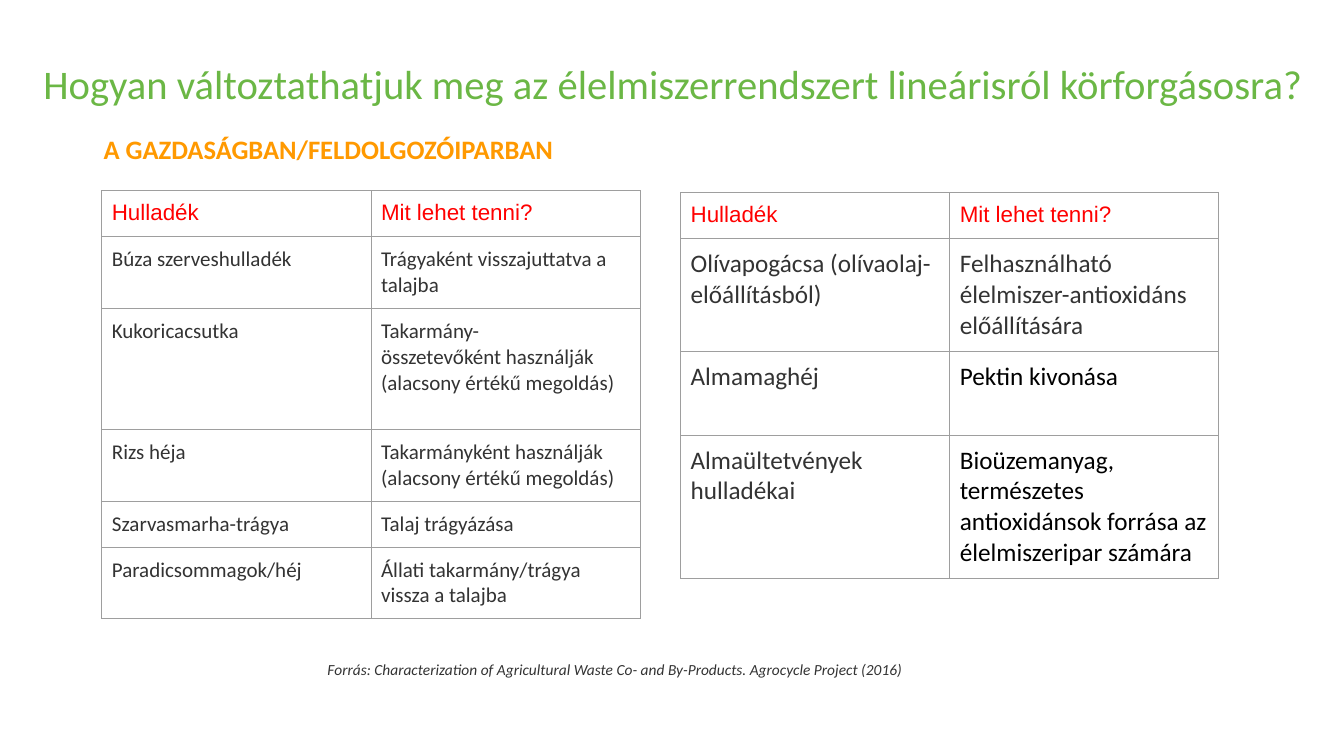
"""Build the slide on turning farm and food waste to circular use."""
from dataclasses import dataclass

from lxml.etree import SubElement
from pptx import Presentation
from pptx.dml.color import RGBColor
from pptx.enum.text import MSO_ANCHOR, MSO_AUTO_SIZE, PP_ALIGN
from pptx.oxml.ns import qn
from pptx.util import Inches, Pt

GREEN = RGBColor(0x6B, 0xB7, 0x45)
ORANGE = RGBColor(0xFF, 0x99, 0x00)
RED = RGBColor(0xFF, 0x00, 0x00)
DARK = RGBColor(0x33, 0x33, 0x33)
BLACK = RGBColor(0x00, 0x00, 0x00)
GREY = RGBColor(0x9E, 0x9E, 0x9E)

HEAD = ("Hulladék", "Mit lehet tenni?")
COL = 2.67
PAD = 0.1


@dataclass
class Style:
    size: float
    color: RGBColor
    name: str = "Calibri"
    bold: bool = False
    italic: bool = False


@dataclass
class Label:
    text: str
    left: float
    top: float
    width: float
    height: float
    style: Style


@dataclass
class Row:
    waste: str
    use: str
    height: float
    color: RGBColor = DARK


@dataclass
class Grid:
    left: float
    top: float
    size: float
    rows: list[Row]


TITLE = Label(
    "Hogyan változtathatjuk meg az élelmiszerrendszert lineárisról körforgásosra?",
    0.22, 0.59, 12.92, 0.47, Style(29, GREEN))

LABELS = [
    Label("A GAZDASÁGBAN/FELDOLGOZÓIPARBAN", 0.93, 1.27, 6.43, 0.42,
          Style(19, ORANGE, bold=True)),
    Label("Forrás: Characterization of Agricultural Waste Co- and By-Products. "
          "Agrocycle Project (2016)", 3.15, 6.5, 6.43, 0.29,
          Style(11, DARK, italic=True)),
]

GRIDS = [
    Grid(1.01, 1.89, 15, [
        Row("Búza szerveshulladék", "Trágyaként visszajuttatva a talajba", 0.7),
        Row("Kukoricacsutka",
            "Takarmány-\nösszetevőként használják (alacsony értékű megoldás)", 1.2),
        Row("Rizs héja", "Takarmányként használják (alacsony értékű megoldás)", 0.7),
        Row("Szarvasmarha-trágya", "Talaj trágyázása", 0.45),
        Row("Paradicsommagok/héj", "Állati takarmány/trágya vissza a talajba", 0.7),
    ]),
    Grid(6.75, 1.91, 18, [
        Row("Olívapogácsa (olívaolaj-előállításból)",
            "Felhasználható élelmiszer-antioxidáns előállítására", 1.1),
        Row("Almamaghéj", "Pektin kivonása", 0.83, BLACK),
        Row("Almaültetvények hulladékai",
            "Bioüzemanyag, természetes antioxidánsok forrása az "
            "élelmiszeripar számára", 1.4, BLACK),
    ]),
]


def write(frame, text: str, style: Style) -> None:
    """Put styled text in a frame."""
    para = frame.paragraphs[0]
    para.text = text
    form = {"name": style.name, "size": Pt(style.size),
            "bold": style.bold, "italic": style.italic}
    for run in para.runs:
        for key, value in form.items():
            setattr(run.font, key, value)
        run.font.color.rgb = style.color


def fill_label(shape, label: Label) -> None:
    """Place a text shape and write its label."""
    for key in ("left", "top", "width", "height"):
        setattr(shape, key, Inches(getattr(label, key)))
    frame = shape.text_frame
    form = {"word_wrap": True, "auto_size": MSO_AUTO_SIZE.NONE,
            "vertical_anchor": MSO_ANCHOR.TOP}
    for key, value in form.items():
        setattr(frame, key, value)
    write(frame, label.text, label.style)


def edge(cell) -> None:
    """Draw thin grey lines round a cell."""
    props = cell._tc.get_or_add_tcPr()
    for side in ("L", "R", "T", "B"):
        line = SubElement(props, qn(f"a:ln{side}"), w=str(Pt(0.75)))
        fill = SubElement(line, qn("a:solidFill"))
        SubElement(fill, qn("a:srgbClr"), val=str(GREY))


def fill_cell(cell, text: str, style: Style) -> None:
    """Format a cell and write its text."""
    for side in ("left", "right", "top", "bottom"):
        setattr(cell, f"margin_{side}", Inches(PAD))
    edge(cell)
    cell.fill.background()
    write(cell.text_frame, text, style)


def draw_grid(slide, grid: Grid) -> None:
    """Draw one table of waste and its use."""
    rows = [Row(*HEAD, 0.46), *grid.rows]
    tall = sum(row.height for row in rows)
    table = slide.shapes.add_table(
        len(rows), 2, Inches(grid.left), Inches(grid.top),
        Inches(2 * COL), Inches(tall)).table
    table.first_row = table.horz_banding = False
    for col in table.columns:
        col.width = Inches(COL)
    for i, row in enumerate(rows):
        table.rows[i].height = Inches(row.height)
        for j, (text, color) in enumerate(((row.waste, DARK), (row.use, row.color))):
            style = Style(grid.size, color) if i else Style(16, RED, "Arial")
            fill_cell(table.cell(i, j), text, style)


def main() -> None:
    """Build and save the deck."""
    deck = Presentation()
    deck.slide_width, deck.slide_height = Inches(13.33), Inches(7.5)
    slide = deck.slides.add_slide(deck.slide_layouts[5])
    title = slide.shapes.title
    fill_label(title, TITLE)
    para = title.text_frame.paragraphs[0]
    para.alignment, para.line_spacing = PP_ALIGN.CENTER, 0.9
    for label in LABELS:
        box = slide.shapes.add_textbox(0, 0, 0, 0)
        fill_label(box, label)
    for grid in GRIDS:
        draw_grid(slide, grid)
    deck.save("out.pptx")


if __name__ == "__main__":
    main()
